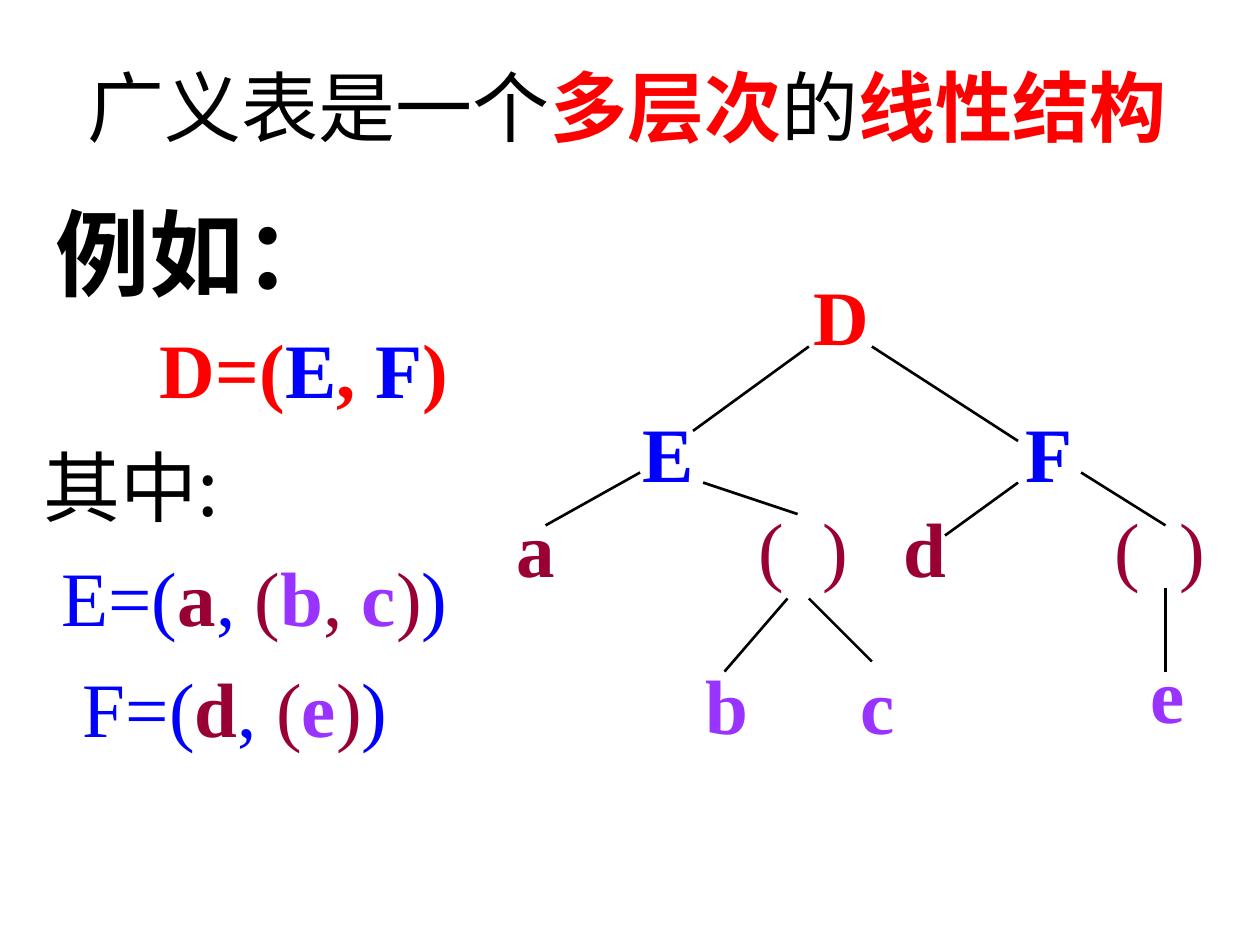
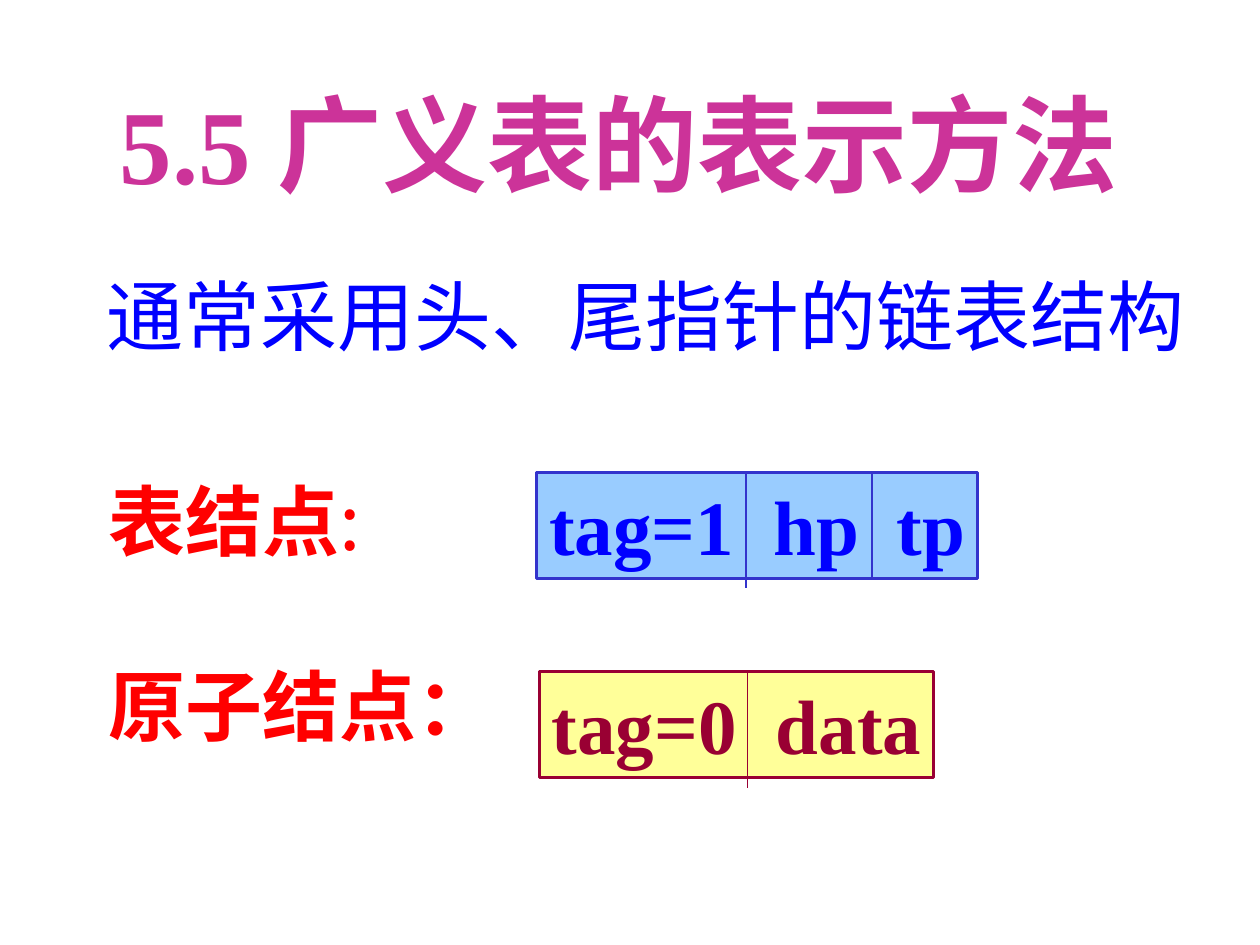
import pptx
import pptx.dml.color
import pptx.enum.shapes
import pptx.enum.text
import pptx.oxml.ns
import pptx.util
from lxml import etree
from pptx.util import Inches

# Shared style
LATIN_FONT = "Times New Roman"
CHINESE_FONT = "Noto Sans CJK SC"
BODY_SIZE = 44
BLACK, RED, BLUE = "000000", "FF0000", "0000FF"
MAROON, VIOLET, PINK = "990033", "9933FF", "CC3399"
INDIGO, SKY, YELLOW = "3333CC", "99CCFF", "FFFF99"


def color(hex_string):
    return pptx.dml.color.RGBColor.from_string(hex_string)


def add_xml(parent, tag, **attributes):
    return etree.SubElement(parent, pptx.oxml.ns.qn(tag), **attributes)


def add_run(paragraph, text, size=BODY_SIZE, fill=BLACK, bold=False, font=LATIN_FONT):
    run = paragraph.add_run()
    run.text = text
    run.font.size = pptx.util.Pt(size)
    run.font.bold = bold
    run.font.name = font
    run.font.color.rgb = color(fill)
    add_xml(run.font._element, "a:ea", typeface=CHINESE_FONT)


def add_runs(paragraph, runs, **shared):
    """Each run is a (text, fill, bold) tuple."""
    for text, fill, bold in runs:
        add_run(paragraph, text, fill=fill, bold=bold, **shared)


def add_text_box(slide, left, top, width, height):
    """Add an empty text box and return its text frame."""
    box = slide.shapes.add_textbox(Inches(left), Inches(top), Inches(width), Inches(height))
    frame = box.text_frame
    frame.word_wrap = True
    frame.auto_size = pptx.enum.text.MSO_AUTO_SIZE.NONE
    frame.margin_right = 0
    return frame


def add_label(slide, left, top, width, runs, height=0.84, **shared):
    frame = add_text_box(slide, left, top, width, height)
    add_runs(frame.paragraphs[0], runs, **shared)


def add_line(slide, start, end, fill=BLACK, width=1.5):
    line = slide.shapes.add_connector(
        pptx.enum.shapes.MSO_CONNECTOR.STRAIGHT, *[Inches(value) for value in start + end])
    line.line.color.rgb = color(fill)
    line.line.width = pptx.util.Pt(width)
    add_xml(line._element.spPr, "a:effectLst")


def add_node(slide, left, top, width, fields, tabs, dividers, fill, line_fill, text_fill):
    """Add a list node: one box, tabbed fields, and (x, length) dividers."""
    node = slide.shapes.add_shape(
        pptx.enum.shapes.MSO_SHAPE.RECTANGLE,
        Inches(left), Inches(top), Inches(width), Inches(0.84))
    node.shadow.inherit = False
    node.fill.solid()
    node.fill.fore_color.rgb = color(fill)
    node.line.color.rgb = color(line_fill)
    node.line.width = pptx.util.Pt(1.5)
    frame = node.text_frame
    frame.word_wrap = True
    frame.margin_right = 0
    frame.vertical_anchor = pptx.enum.text.MSO_ANCHOR.TOP
    paragraph = frame.paragraphs[0]
    paragraph.alignment = pptx.enum.text.PP_ALIGN.LEFT
    tab_list = add_xml(paragraph._p.get_or_add_pPr(), "a:tabLst")
    for tab in tabs:
        add_xml(tab_list, "a:tab", pos=str(Inches(tab)), algn="l")
    add_run(paragraph, "\t".join(fields), fill=text_fill, bold=True)
    for x, length in dividers:
        add_line(slide, (x, top), (x, top + length), line_fill, 0.75)


def build_tree_slide(slide):
    # Title and definitions
    add_label(slide, 0.6, 0.42, 8.76, [
        ("广义表是一个", BLACK, False), ("多层次", RED, True),
        ("的", BLACK, False), ("线性结构", RED, True)])
    add_label(slide, 0.34, 1.5, 2.45, [("例如：", BLACK, True)], height=1, size=54)
    add_label(slide, 1.17, 2.5, 2.48, [
        ("D=(", RED, True), ("E", BLUE, True), (", ", RED, True),
        ("F", BLUE, True), (")", RED, True)])

    frame = add_text_box(slide, 0.25, 3.29, 3.57, 2.74)
    heading = frame.paragraphs[0]
    add_run(heading, "其中:", font=CHINESE_FONT)
    e_definition = [
        ("E=(", BLUE, False), ("a", MAROON, True), (", ", BLUE, False),
        ("(", MAROON, False), ("b", VIOLET, True), (", ", MAROON, False),
        ("c", VIOLET, True), (")", MAROON, False), (")", BLUE, False)]
    f_definition = [
        ("F=(", BLUE, False), ("d", MAROON, True), (",", BLUE, False),
        (" (", MAROON, False), ("e", VIOLET, True), (")", MAROON, False),
        (")", BLUE, False)]
    for indent, runs in ((0.14, e_definition), (0.31, f_definition)):
        paragraph = frame.add_paragraph()
        paragraph._p.get_or_add_pPr().set("marL", str(Inches(indent)))
        add_runs(paragraph, runs)
    for paragraph in frame.paragraphs:
        paragraph.line_spacing = 1.2

    # Tree nodes
    for text, left, top, width, fill in (
            ("D", 6.36, 2.08, 0.64, RED),
            ("E", 5, 3.17, 0.61, BLUE), ("F", 8.04, 3.17, 0.57, BLUE),
            ("a", 4, 3.92, 0.5, MAROON), ("(  )", 5.92, 3.92, 0.91, MAROON),
            ("d", 7.07, 3.92, 0.54, MAROON), ("(  )", 8.75, 3.92, 0.91, MAROON),
            ("b", 5.5, 5.17, 0.54, VIOLET), ("c", 6.73, 5.17, 0.47, VIOLET),
            ("e", 9.03, 5.08, 0.47, VIOLET)):
        add_label(slide, left, top, width, [(text, fill, text.isalpha())])

    # Tree branches
    for start, end in (
            ((6.42, 2.75), (5.5, 3.42)), ((6.92, 2.75), (8.08, 3.5)),
            ((5.08, 3.75), (4.33, 4.17)), ((5.58, 3.83), (6.33, 4.08)),
            ((6.25, 4.75), (5.75, 5.33)), ((6.42, 4.75), (6.92, 5.25)),
            ((8.08, 3.83), (7.5, 4.25)), ((8.58, 3.75), (9.25, 4.17)),
            ((9.25, 4.67), (9.25, 5.33))):
        add_line(slide, start, end)


def build_node_slide(slide):
    # Title and lead sentence
    title = add_text_box(slide, 0.85, 0.58, 8.52, 1.1).paragraphs[0]
    add_run(title, "5.5 ", size=60, fill=PINK, bold=True)
    add_run(title, "广义表的表示方法", size=60, fill=PINK, bold=True, font=CHINESE_FONT)
    add_label(slide, 0.75, 2.08, 8.76,
              [("通常采用头、尾指针的链表结构", BLUE, False)], font=CHINESE_FONT)

    # Node names
    frame = add_text_box(slide, 0.76, 3.71, 3.26, 2.3)
    add_runs(frame.paragraphs[0], [("表结点", RED, True), (":", RED, False)],
             font=CHINESE_FONT)
    atom_name = frame.add_paragraph()
    atom_name.space_before = pptx.util.Pt(53)
    add_run(atom_name, "原子结点：", fill=RED, bold=True)

    # Node layouts
    add_node(slide, 4.26, 3.75, 3.5, ["tag=1", "hp", "tp"], [1.78, 2.76],
             [(5.92, 0.92), (6.92, 0.83)], SKY, INDIGO, BLUE)
    add_node(slide, 4.28, 5.33, 3.13, ["tag=0", "data"], [1.78],
             [(5.93, 0.92)], YELLOW, MAROON, MAROON)


def main():
    presentation = pptx.Presentation()
    presentation.slide_width = Inches(10)
    presentation.slide_height = Inches(7.5)
    blank_layout = presentation.slide_layouts[6]
    for build in (build_tree_slide, build_node_slide):
        build(presentation.slides.add_slide(blank_layout))
    presentation.save("out.pptx")


if __name__ == "__main__":
    main()
